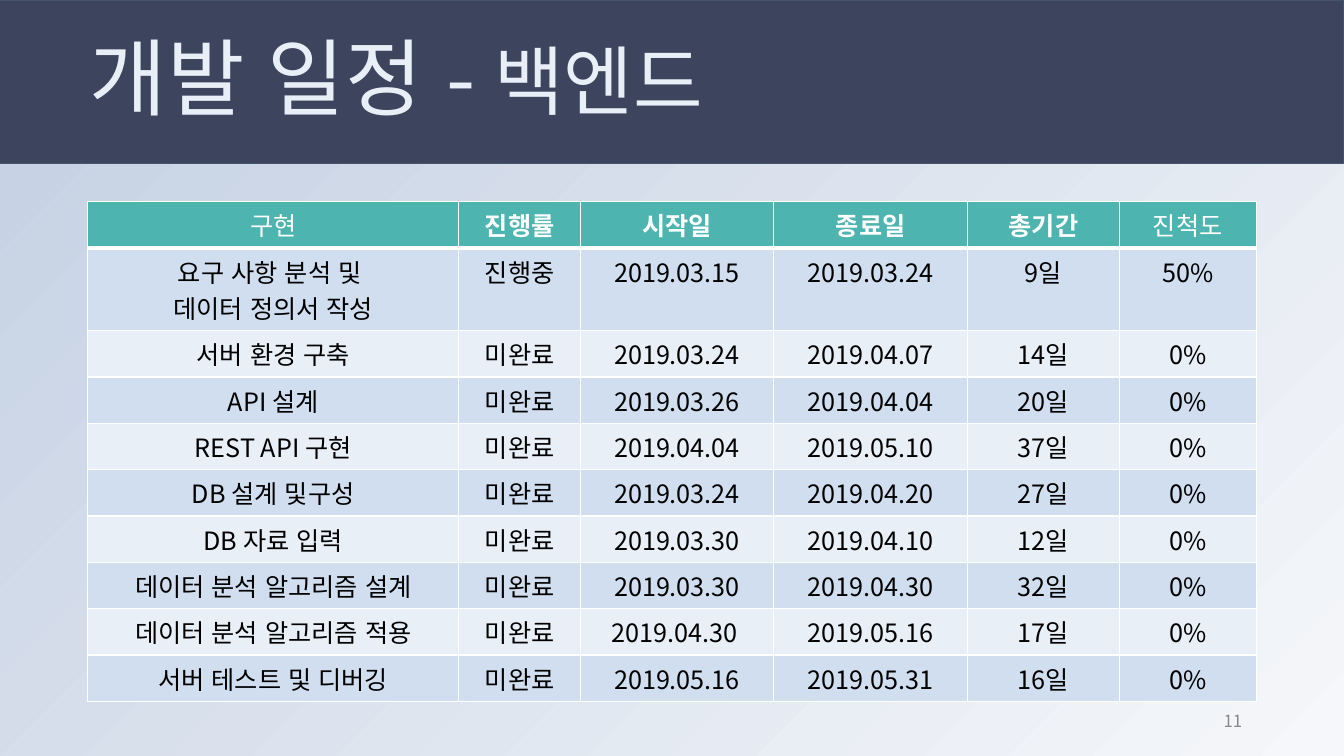
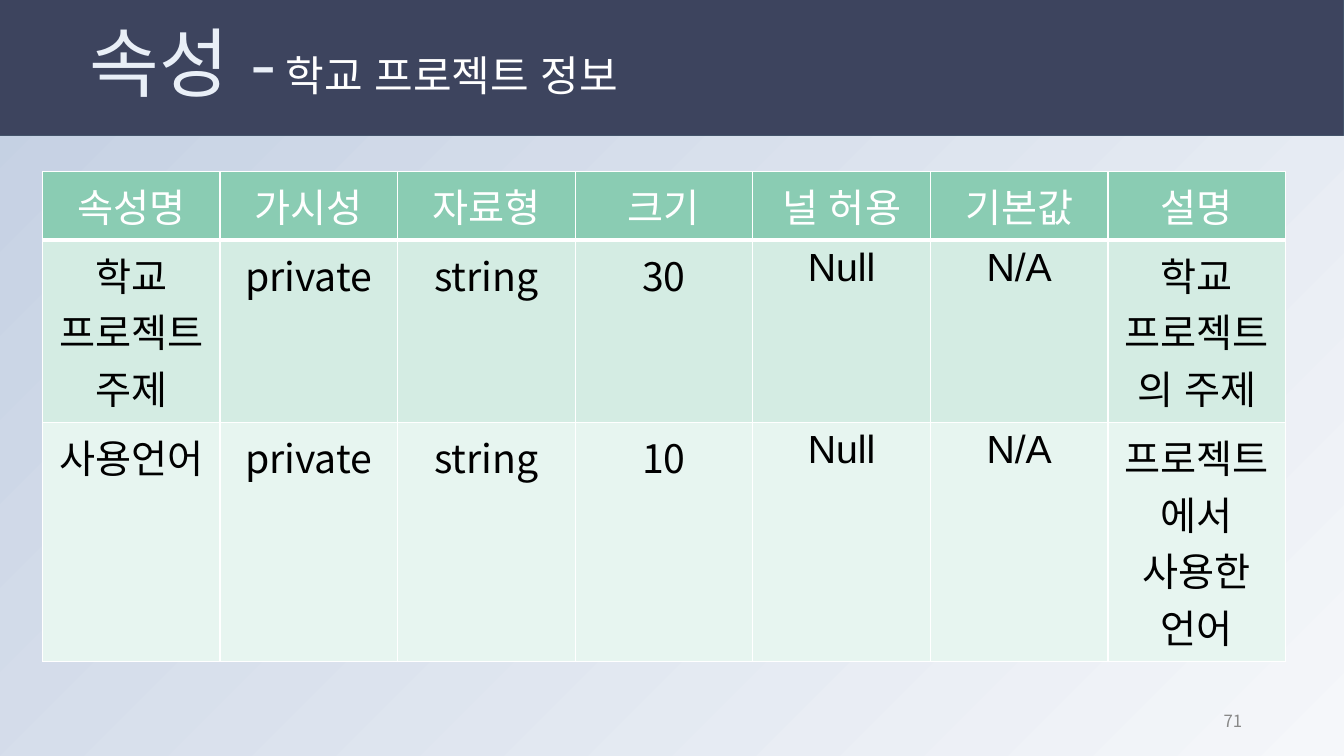
from dataclasses import dataclass

from lxml.etree import SubElement as Sub
from pptx import Presentation
from pptx.dml.color import RGBColor as Rgb
from pptx.enum.lang import MSO_LANGUAGE_ID as Lang
from pptx.enum.shapes import MSO_SHAPE as Shape
from pptx.enum.text import MSO_ANCHOR as Anchor, MSO_AUTO_SIZE as Fit, PP_ALIGN as Align
from pptx.oxml.ns import qn
from pptx.util import Inches, Pt


@dataclass(frozen=True)
class Theme:
    font: str = "Noto Sans CJK KR"
    latin: str = "Arial"
    wide: float = 13.33
    high: float = 7.5
    pale: str = "F5F7FA"
    deep: str = "C3CFE2"
    band: str = "3D445E"
    edge: str = "44546A"
    title: str = "E9EFF7"
    white: str = "FFFFFF"
    black: str = "000000"
    gray: str = "888888"
    huge: int = 60
    big: int = 54
    mid: int = 30
    note: int = 12


T = Theme()


@dataclass(frozen=True)
class Look:
    head: str
    odd: str
    even: str
    size: int
    cols: tuple
    rows: tuple
    pad: tuple
    bold: tuple = ()
    plain: tuple = ()


PLAN = Look("4EB4B0", "D0DEEF", "E9EFF7", 18,
            (3.68, 1.21, 1.91, 1.93, 1.5, 1.36), (0.46, 0.82) + (0.46,) * 8,
            (0.1, 0.05), bold=(1, 2, 3, 4))
DATA = Look("8ACCB3", "D4ECE3", "E7F5F0", 28,
            (12.33 / 7,) * 7, (0.68, 1.81, 2.37),
            (0.12, 0.06), plain=(4, 5))

TASKS = [
    ("구현", "진행률", "시작일", "종료일", "총기간", "진척도"),
    ("요구 사항 분석 및 \n데이터 정의서 작성", "진행중", "2019.03.15", "2019.03.24", "9일", "50%"),
    *[
        (name, "미완료", start, end, days, "0%")
        for name, start, end, days in [
            ("서버 환경 구축", "2019.03.24", "2019.04.07", "14일"),
            ("API 설계", "2019.03.26", "2019.04.04", "20일"),
            ("REST API 구현", "2019.04.04", "2019.05.10", "37일"),
            ("DB 설계 및구성", "2019.03.24", "2019.04.20", "27일"),
            ("DB 자료 입력", "2019.03.30", "2019.04.10", "12일"),
            ("데이터 분석 알고리즘 설계", "2019.03.30", "2019.04.30", "32일"),
            ("데이터 분석 알고리즘 적용", "2019.04.30 ", "2019.05.16", "17일"),
            ("서버 테스트 및 디버깅", "2019.05.16", "2019.05.31", "16일"),
        ]
    ],
]

FIELDS = [
    ("속성명", "가시성", "자료형", "크기", "널 허용", "기본값", "설명"),
    ("학교 프로젝트 주제", "private", "string", "30", "Null", "N/A", "학교 프로젝트의 주제"),
    ("사용언어", "private", "string", "10", "Null", "N/A", "프로젝트에서 사용한 언어"),
]


def apply(item, form):
    for key, value in form.items():
        setattr(item, key, value)


def color(text):
    return Rgb.from_string(text)


def paint(fill, tint):
    fill.solid()
    fill.fore_color.rgb = color(tint)


def add_run(para, text, size, tint, name=T.font, bold=False):
    run = para.add_run()
    run.text = text
    apply(run.font, {"name": name, "size": Pt(size), "bold": bold,
                     "language_id": Lang.KOREAN})
    run.font.color.rgb = color(tint)
    props = run._r.get_or_add_rPr()
    props.set("kern", "0")
    Sub(props, qn("a:ea"), typeface=name)


def set_back(deck):
    fill = deck.slide_master.background.fill
    fill.gradient()
    fill.gradient_angle = 135
    for stop, tint in zip(fill.gradient_stops, (T.pale, T.deep)):
        stop.color.rgb = color(tint)


def add_band(slide, top, high):
    band = slide.shapes.add_shape(
        Shape.RECTANGLE, 0, Inches(top), Inches(T.wide), Inches(high))
    band.shadow.inherit = False
    paint(band.fill, T.band)
    band.line.color.rgb = color(T.edge)
    band.line.width = Pt(0.75)
    slide.shapes._spTree.insert(2, band._element)


def set_title(slide, top, parts):
    title = slide.shapes.title
    apply(title, {"left": Inches(0.79), "top": Inches(top),
                  "width": Inches(11.5), "height": Inches(1.45)})
    apply(title.text_frame, {"vertical_anchor": Anchor.MIDDLE,
                             "word_wrap": True, "auto_size": Fit.NONE})
    para = title.text_frame.paragraphs[0]
    apply(para, {"alignment": Align.LEFT, "line_spacing": 0.9})
    for part in parts:
        add_run(para, *part)


def add_page(slide, page):
    box = slide.shapes.add_textbox(Inches(9.42), Inches(6.95), Inches(3), Inches(0.4))
    apply(box.text_frame, {"word_wrap": True, "vertical_anchor": Anchor.MIDDLE})
    para = box.text_frame.paragraphs[0]
    para.alignment = Align.RIGHT
    add_run(para, str(page), T.note, T.gray)


def add_edges(cell, top, base):
    props = cell._tc.get_or_add_tcPr()
    for side, width in {"L": 1, "R": 1, "T": top, "B": base}.items():
        line = Sub(props, qn(f"a:ln{side}"), w=str(Pt(width)))
        Sub(Sub(line, qn("a:solidFill")), qn("a:srgbClr"), val=T.white)


def fill_cell(cell, text, row, col, look):
    head = row == 0
    add_edges(cell, 3 if row == 1 else 1, 3 if head else 1)
    paint(cell.fill, look.head if head else look.odd if row % 2 else look.even)
    side, edge = map(Inches, look.pad)
    apply(cell, {"margin_left": side, "margin_right": side,
                 "margin_top": edge, "margin_bottom": edge})
    frame = cell.text_frame
    for num, line in enumerate(text.split("\n")):
        para = frame.add_paragraph() if num else frame.paragraphs[0]
        para.alignment = Align.CENTER
        name = T.latin if not head and col in look.plain else T.font
        add_run(para, line, look.size, T.white if head else T.black,
                name, head and col in look.bold)


def add_grid(slide, left, top, texts, look):
    grid = slide.shapes.add_table(
        len(look.rows), len(look.cols), Inches(left), Inches(top),
        Inches(sum(look.cols)), Inches(sum(look.rows))).table
    grid.horz_banding = False
    for col, width in zip(grid.columns, look.cols):
        col.width = Inches(width)
    for row, high in zip(grid.rows, look.rows):
        row.height = Inches(high)
    for row, line in enumerate(texts):
        for col, text in enumerate(line):
            fill_cell(grid.cell(row, col), text, row, col, look)


def add_slide(deck, page, band, top, parts):
    slide = deck.slides.add_slide(deck.slide_layouts.get_by_name("Title Only"))
    add_band(slide, *band)
    set_title(slide, top, parts)
    add_page(slide, page)
    return slide


def main():
    deck = Presentation()
    apply(deck, {"slide_width": Inches(T.wide), "slide_height": Inches(T.high)})
    set_back(deck)

    plan = add_slide(deck, 11, (0, 1.62), 0.09, [
        ("개발 일정 - ", T.huge, T.title), ("백엔드", T.big, T.title)])
    add_grid(plan, 0.87, 2, TASKS, PLAN)

    data = add_slide(deck, 71, (-0.01, 1.35), -0.06, [
        ("속성 -", T.big, T.title), (" ", T.mid, T.title),
        ("학교 프로젝트 정보", T.mid, T.white)])
    add_grid(data, 0.42, 1.7, FIELDS, DATA)

    deck.save("out.pptx")


if __name__ == "__main__":
    main()
